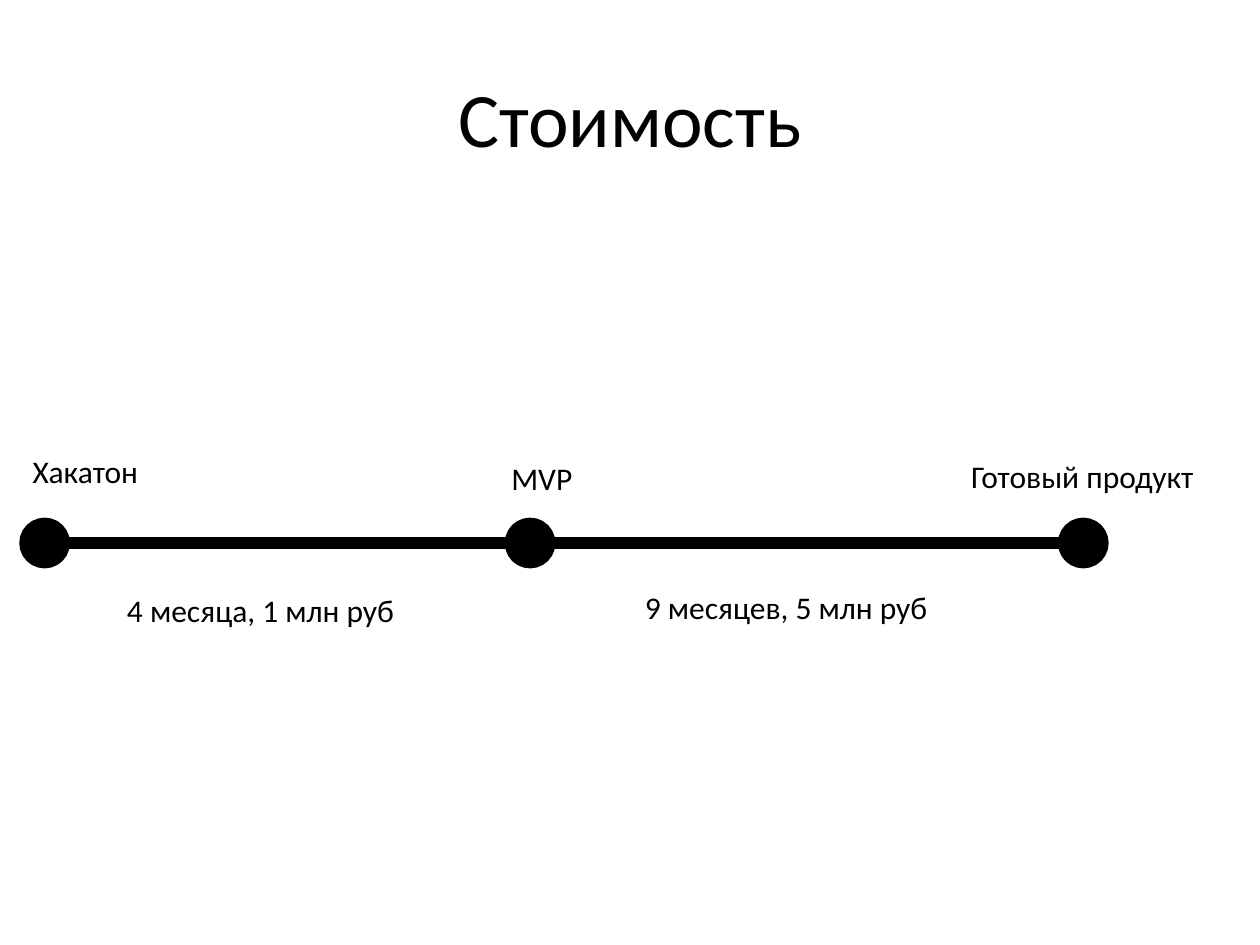
from dataclasses import dataclass

from pptx import Presentation
from pptx.dml.color import RGBColor
from pptx.enum.shapes import MSO_CONNECTOR as LINE, MSO_SHAPE as SHAPE
from pptx.enum.text import MSO_ANCHOR as ANCHOR, MSO_AUTO_SIZE as FIT, PP_ALIGN as ALIGN
from pptx.oxml.ns import qn
from pptx.slide import Slide
from pptx.text.text import _Paragraph as Para
from pptx.util import Pt
from lxml.etree import SubElement

BLACK = RGBColor(0, 0, 0)
FONT = "Calibri"
AXIS = 310.3
DOT = 24


@dataclass
class Label:
    text: str
    left: float
    top: float
    width: float


STOPS = [25.5, 302.9, 619]
LABELS = [
    Label("Хакатон", 11.5, 254.9, 85),
    Label("MVP", 285.1, 258.5, 85),
    Label("Готовый продукт", 547.9, 257.8, 142.6),
    Label("4 месяца, 1 млн руб", 65.5, 334.1, 198.7),
    Label("9 месяцев, 5 млн руб", 361.4, 332.6, 219.6),
]


def add_run(para: Para, text: str, size: float) -> None:
    run = para.add_run()
    run.text = text
    run.font.name = FONT
    run.font.size = Pt(size)
    run.font.color.rgb = BLACK


def add_title(slide: Slide, text: str) -> None:
    title = slide.shapes.title
    title.left, title.top, title.width, title.height = Pt(36), Pt(21.6), Pt(648), Pt(90)
    frame = title.text_frame
    frame.vertical_anchor = ANCHOR.MIDDLE
    para = frame.paragraphs[0]
    para.alignment = ALIGN.CENTER
    add_run(para, text, 44)


def add_axis(slide: Slide, start: float, end: float) -> None:
    line = slide.shapes.add_connector(LINE.STRAIGHT, Pt(start), Pt(AXIS), Pt(end), Pt(AXIS))
    line.line.color.rgb = BLACK
    line.line.width = Pt(6.5)
    SubElement(line._element.spPr, qn("a:effectLst"))


def add_dot(slide: Slide, mid: float) -> None:
    dot = slide.shapes.add_shape(
        SHAPE.OVAL, Pt(mid - DOT / 2), Pt(AXIS - DOT / 2), Pt(DOT), Pt(DOT))
    dot.shadow.inherit = False
    dot.fill.solid()
    dot.fill.fore_color.rgb = BLACK
    dot.line.color.rgb = BLACK
    dot.line.width = Pt(5)


def add_label(slide: Slide, label: Label) -> None:
    box = slide.shapes.add_textbox(
        Pt(label.left), Pt(label.top), Pt(label.width), Pt(29))
    frame = box.text_frame
    frame.word_wrap = True
    frame.auto_size = FIT.SHAPE_TO_FIT_TEXT
    add_run(frame.paragraphs[0], label.text, 18)


def main() -> None:
    deck = Presentation()
    deck.slide_width, deck.slide_height = Pt(720), Pt(540)
    slide = deck.slides.add_slide(deck.slide_layouts[5])
    add_title(slide, "Стоимость")
    add_axis(slide, STOPS[0], STOPS[-1] - DOT / 2)
    for mid in STOPS:
        add_dot(slide, mid)
    for label in LABELS:
        add_label(slide, label)
    deck.save("out.pptx")


if __name__ == "__main__":
    main()
